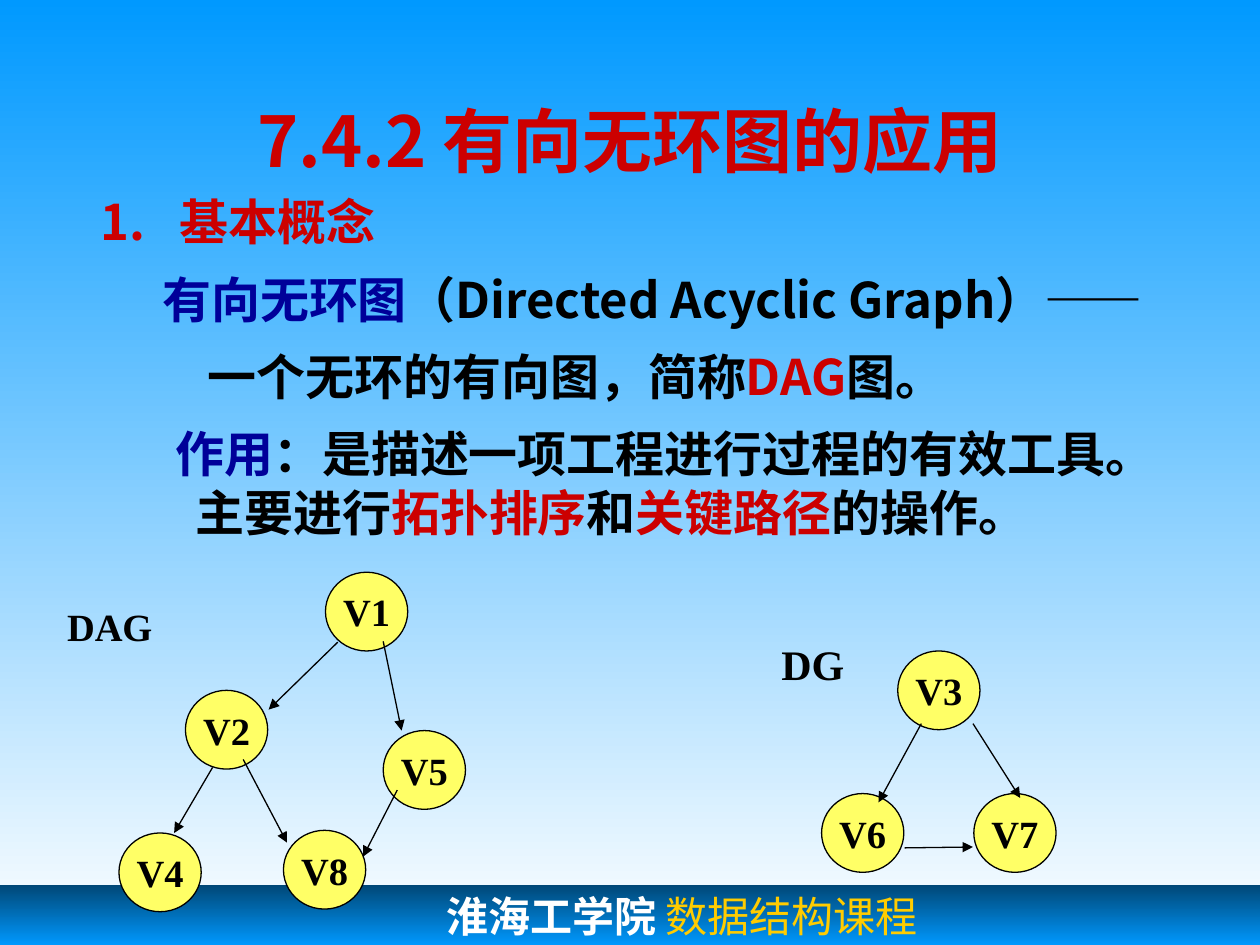
from lxml import etree
from pptx import Presentation
from pptx.dml.color import RGBColor
from pptx.enum.shapes import MSO_CONNECTOR, MSO_SHAPE
from pptx.enum.text import MSO_ANCHOR, PP_ALIGN
from pptx.oxml.ns import qn
from pptx.util import Pt

OVAL, RECT = MSO_SHAPE.OVAL, MSO_SHAPE.RECTANGLE
LINE = MSO_CONNECTOR.STRAIGHT
MIDDLE, TOP = MSO_ANCHOR.MIDDLE, MSO_ANCHOR.TOP
CENTER, LEFT = PP_ALIGN.CENTER, PP_ALIGN.LEFT

HUES = {
    "sky": "0099FF", "white": "FFFFFF", "deep": "004776", "red": "CC0000",
    "navy": "000099", "black": "000000", "node": "FFFF66", "gold": "FFCC00",
}
SANS, SERIF, MONO = "Noto Sans CJK SC", "Times New Roman", "Courier New"
NODE_W, NODE_H = 47, 45

# Body paragraphs: left margin, first-line indent, runs
BODY = [
    (81, -45, [("1.\t基本概念", "red")]),
    (71, 0, [("有向无环图", "navy"), ("（Directed Acyclic Graph）——", "black")]),
    (97, 0, [("一个无环的有向图，简称", "black"), ("DAG", "red"), ("图。", "black")]),
    (90, -11.5, [("作用", "navy"),
                 ("：是描述一项工程进行过程的有效工具。主要进行", "black"),
                 ("拓扑排序", "red"), ("和", "black"),
                 ("关键路径", "red"), ("的操作。", "black")]),
]

# Graphs: nodes by left and top, arrows by start and end
DAG_NODES = {"V1": (186, 327), "V2": (106, 394.5), "V4": (68, 476),
             "V5": (219, 417.5), "V8": (162, 474.5)}
DAG_LINKS = [(193, 367, 153.5, 405.5), (219, 366.5, 229.5, 417.5),
             (121.5, 438.5, 99.5, 476), (139, 434, 164, 481.5),
             (227, 451.5, 207.5, 489.5)]
DG_NODES = {"V3": (513, 372), "V7": (556.5, 453.5), "V6": (469.5, 453.5)}
DG_LINKS = [(526.5, 413.5, 502, 458.5), (517, 484.5, 556, 484),
            (556, 413.5, 583, 456)]


def rgb(hue):
    return RGBColor.from_string(HUES[hue])


def style(font, name, size, hue, bold=True):
    font.name, font.size, font.bold = name, Pt(size), bold
    font.color.rgb = rgb(hue)


def shade(fill, node, hues):
    """Fill from top to bottom with evenly spaced colours."""
    fill.gradient()
    fill.gradient_angle = 270
    stops = next(node.iter(qn("a:gsLst")))
    for old in list(stops):
        stops.remove(old)
    for i, hue in enumerate(hues):
        stop = etree.SubElement(stops, qn("a:gs"),
                                pos=str(100000 * i // (len(hues) - 1)))
        etree.SubElement(stop, qn("a:srgbClr"), val=HUES[hue])


def place(shape, x, y, w, h):
    shape.left, shape.top, shape.width, shape.height = map(Pt, (x, y, w, h))


def add_title(slide):
    title = slide.shapes.title
    place(title, 54, 48, 612, 63.5)
    title.text_frame.vertical_anchor = MIDDLE
    para = title.text_frame.paragraphs[0]
    para.text, para.alignment = "7.4.2 有向无环图的应用", CENTER
    style(para.font, SANS, 40, "red")


def add_body(slide):
    body = slide.placeholders[1]
    place(body, 14.5, 106, 676.5, 227)
    frame = body.text_frame
    frame.vertical_anchor = TOP
    for i, (margin, indent, runs) in enumerate(BODY):
        para = frame.add_paragraph() if i else frame.paragraphs[0]
        props = para._p.get_or_add_pPr()
        props.set("marL", str(Pt(margin)))
        props.set("indent", str(Pt(indent)))
        etree.SubElement(props, qn("a:buNone"))
        para.line_spacing = Pt(33.7)
        para.space_before = Pt(10.5 if i else 0)
        for text, hue in runs:
            run = para.add_run()
            run.text = text
            style(run.font, SANS, 28, hue)


def add_bar(slide):
    bar = slide.shapes.add_shape(RECT, 0, Pt(505.5), Pt(720), Pt(70))
    bar.shadow.inherit = False
    bar.line.fill.background()
    shade(bar.fill, bar._element, ["deep", "sky", "deep"])
    frame = bar.text_frame
    frame.vertical_anchor, frame.margin_left = TOP, Pt(255)
    para = frame.paragraphs[0]
    para.alignment = LEFT
    for text, name, hue, bold in (("淮海工学院", MONO, "white", True),
                                  (" 数据结构课程", SERIF, "gold", False)):
        run = para.add_run()
        run.text = text
        style(run.font, name, 24, hue, bold)


def write(shape, text, size):
    frame = shape.text_frame
    frame.word_wrap, frame.vertical_anchor = False, MIDDLE
    para = frame.paragraphs[0]
    para.text, para.alignment = text, CENTER
    style(para.font, SERIF, size, "black")


def add_node(shapes, text, x, y):
    node = shapes.add_shape(OVAL, Pt(x), Pt(y), Pt(NODE_W), Pt(NODE_H))
    node.shadow.inherit = False
    node.fill.solid()
    node.fill.fore_color.rgb = rgb("node")
    node.line.color.rgb, node.line.width = rgb("black"), Pt(0.75)
    write(node, text, 22)


def add_arrow(shapes, ends):
    arrow = shapes.add_connector(LINE, *map(Pt, ends))
    arrow.line.color.rgb, arrow.line.width = rgb("black"), Pt(0.75)
    etree.SubElement(arrow.line._get_or_add_ln(), qn("a:tailEnd"), type="triangle")
    etree.SubElement(arrow._element.spPr, qn("a:effectLst"))


def add_graph(slide, nodes, links, label, size, box):
    shapes = slide.shapes.add_group_shape().shapes
    for text, (x, y) in nodes.items():
        add_node(shapes, text, x, y)
    for ends in links:
        add_arrow(shapes, ends)
    write(shapes.add_textbox(*map(Pt, box)), label, size)


def main():
    deck = Presentation()
    deck.slide_width, deck.slide_height = Pt(720), Pt(540)
    slide = deck.slides.add_slide(deck.slide_layouts[1])
    shade(slide.background.fill, slide._element, ["sky", "white"])
    # Text
    add_title(slide)
    add_body(slide)
    add_bar(slide)
    # Graphs
    add_graph(slide, DAG_NODES, DAG_LINKS, "DAG", 22, (31, 340.5, 63.5, 34))
    add_graph(slide, DG_NODES, DG_LINKS, "DG", 24, (436, 361, 57, 36))
    deck.save("out.pptx")


if __name__ == "__main__":
    main()
